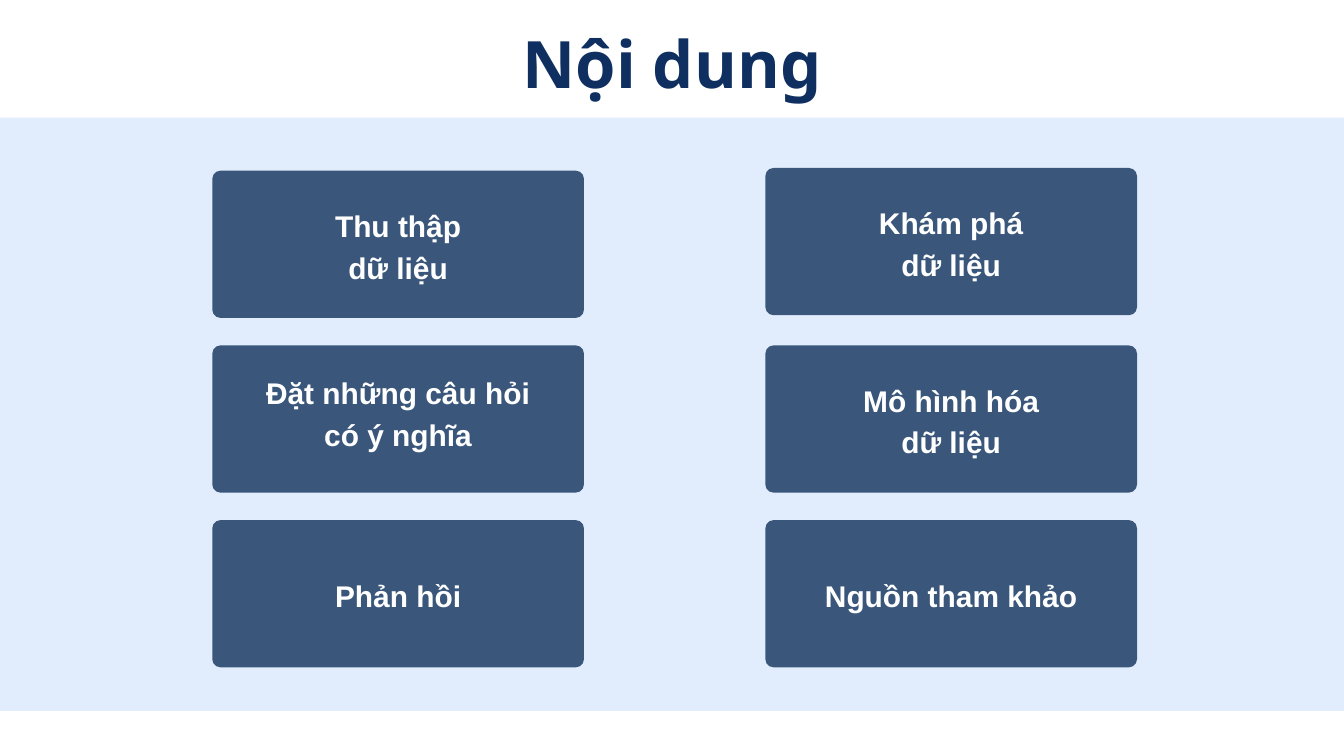
from pptx import Presentation
from pptx.dml.color import RGBColor
from pptx.enum import shapes, text
from pptx.util import Pt

PX = 9144  # EMU per px, 100 px to the inch
PAGE_W, PAGE_H = 2000, 1125
WHITE, NAVY, SLATE, SKY = "FFFFFF", "0E2F5F", "3A577B", "E1EDFC"

TITLE = "Nội dung"
# Topic, left, top, label width, label offset from the card top, label height
COLUMN_LEFTS = (316, 1139)
CARD_W, CARD_H, CORNER = 553, 219, 12
TOPICS = [
    ("Thu thập dữ liệu", 0, 254, 237, 46, 120),
    ("Khám phá dữ liệu", 1, 250, 282, 46, 120),
    ("Đặt những câu hỏi có ý nghĩa", 0, 514, 425, 35, 120),
    ("Mô hình hóa dữ liệu", 1, 514, 316, 46, 120),
    ("Phản hồi", 0, 774, 425, 77, 59),
    ("Nguồn tham khảo", 1, 774, 425, 77, 59),
]


def color(value):
    return RGBColor.from_string(value)


def area(left, top, width, height):
    return [round(length * PX) for length in (left, top, width, height)]


def add_panel(page, kind, bounds, fill):
    panel = page.shapes.add_shape(kind, *area(*bounds))
    panel.shadow.inherit = False
    panel.fill.solid()
    panel.fill.fore_color.rgb = color(fill)
    panel.line.fill.background()
    return panel


def write(box, words, font, size, spacing, ink):
    frame = box.text_frame
    frame.word_wrap = True
    frame.auto_size = text.MSO_AUTO_SIZE.NONE
    frame.vertical_anchor = text.MSO_ANCHOR.TOP
    frame.margin_left = frame.margin_right = 0
    frame.margin_top = frame.margin_bottom = 0
    para = frame.paragraphs[0]
    para.alignment = text.PP_ALIGN.CENTER
    para.line_spacing = Pt(spacing)
    span = para.add_run()
    span.text = words
    span.font.name = font
    span.font.size = Pt(size)
    span.font.bold = True
    span.font.color.rgb = color(ink)


def main():
    deck = Presentation()
    deck.slide_width, deck.slide_height = PAGE_W * PX, PAGE_H * PX
    page = deck.slides.add_slide(deck.slide_layouts[5])
    page.background.fill.solid()
    page.background.fill.fore_color.rgb = color(WHITE)

    # Title
    title = page.shapes.title
    title.left, title.top, title.width, title.height = area(569, 28, 862, 121)
    write(title, TITLE, "Noto Sans", 70, 88.9, NAVY)

    # Band behind the cards
    add_panel(page, shapes.MSO_SHAPE.RECTANGLE, (0, 175, PAGE_W, 883), SKY)

    # Topic cards, each with a label centred across it
    for topic, column, top, label_w, offset, label_h in TOPICS:
        left = COLUMN_LEFTS[column]
        card = add_panel(page, shapes.MSO_SHAPE.ROUNDED_RECTANGLE,
                         (left, top, CARD_W, CARD_H), SLATE)
        card.adjustments[0] = CORNER / CARD_H
        label_left = left + (CARD_W - label_w) / 2
        label = page.shapes.add_textbox(
            *area(label_left, top + offset, label_w, label_h))
        write(label, topic, "Arial", 32, 44.8, WHITE)

    deck.save("out.pptx")


if __name__ == "__main__":
    main()
